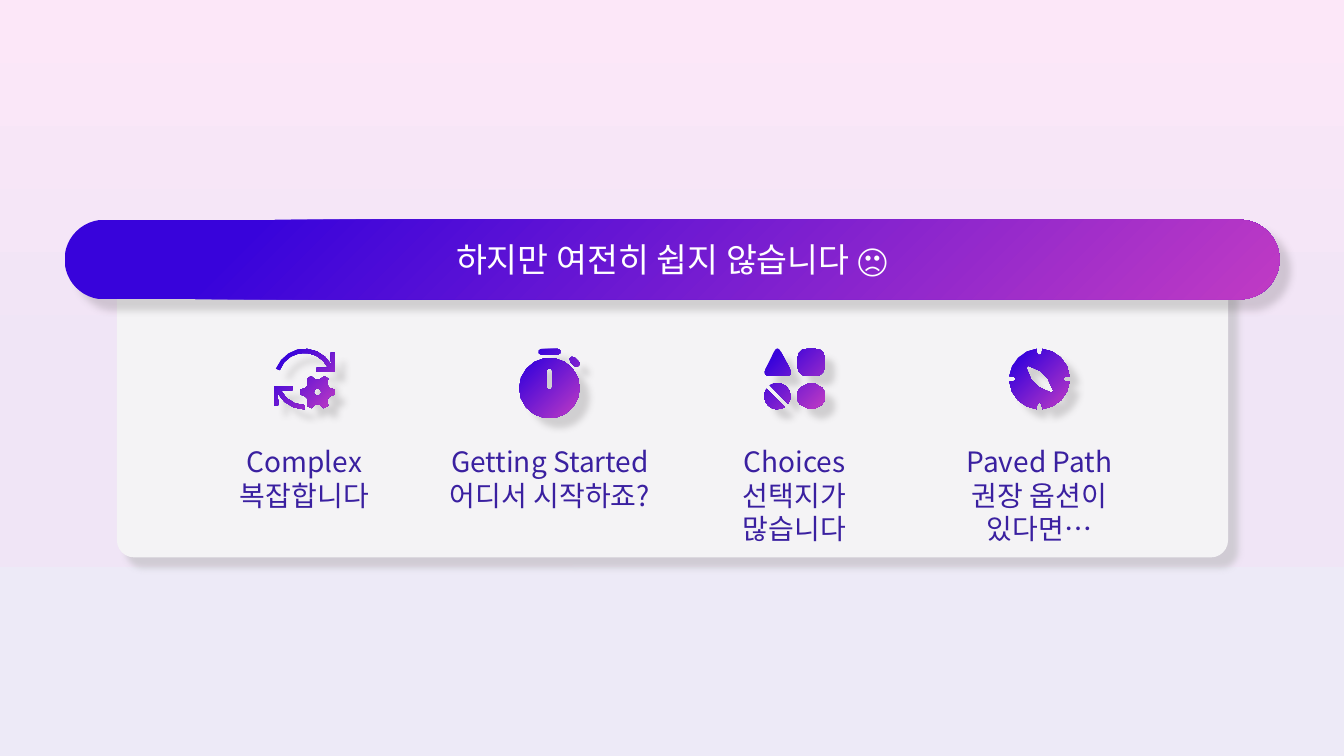
from dataclasses import dataclass
from math import cos, dist, radians, sin
from typing import NamedTuple

from lxml import etree
from pptx import Presentation
from pptx.dml.color import RGBColor
from pptx.enum.shapes import MSO_SHAPE as Shape
from pptx.enum.text import MSO_ANCHOR as Anchor, MSO_AUTO_SIZE as AutoSize, PP_ALIGN as Align
from pptx.oxml.ns import qn
from pptx.util import Inches, Pt

FONT = "Noto Sans CJK KR"
WHITE = RGBColor(0xFF, 0xFF, 0xFF)
PANEL = RGBColor(0xF4, 0xF3, 0xF5)
INDIGO = RGBColor(0x3A, 0x20, 0xA0)
BLUE = RGBColor(0x38, 0x03, 0xDB)
MAGENTA = RGBColor(0xC0, 0x3B, 0xC4)
SKY = RGBColor(0xFC, 0xE7, 0xF8)
HAZE = RGBColor(0xF0, 0xE5, 0xF6)
MIST = RGBColor(0xED, 0xEA, 0xF7)
PANEL_SHADOW = RGBColor(0xB1, 0xB3, 0xB3)
DARK_SHADOW = RGBColor(0x45, 0x41, 0x42)


class Point(NamedTuple):
    x: float
    y: float


Contour = list[Point]


@dataclass
class Challenge:
    title: str
    detail: str
    left: float
    width: float
    height: float
    icon: list[Contour]


def polar(c: Point, r: float, angle: float) -> Point:
    return Point(c.x + r * cos(radians(angle)), c.y + r * sin(radians(angle)))


def arc(c: Point, r: float, start: float, end: float) -> Contour:
    step = 20 if r > .1 else 60
    n = max(2, round(abs(end - start) / step))
    return [polar(c, r, start + (end - start) * i / n) for i in range(n + 1)]


def circle(c: Point, r: float) -> Contour:
    return arc(c, r, 0, 360)[:-1]


def capsule(x1: float, y1: float, x2: float, y2: float, r: float, angle: float) -> Contour:
    return (arc(Point(x1, y1), r, angle + 90, angle + 270)
            + arc(Point(x2, y2), r, angle - 90, angle + 90))


def toward(a: Point, b: Point, length: float) -> Point:
    t = length / dist(a, b)
    return Point(a.x + (b.x - a.x) * t, a.y + (b.y - a.y) * t)


def rounded(corners: list[tuple[float, float]], cut: float, steps: int) -> Contour:
    pts = [Point(*c) for c in corners]
    out: Contour = []
    for i, c in enumerate(pts):
        a = toward(c, pts[i - 1], cut)
        b = toward(c, pts[(i + 1) % len(pts)], cut)
        for t in (k / steps for k in range(steps + 1)):
            u = 1 - t
            out.append(Point(u * u * a.x + 2 * u * t * c.x + t * t * b.x,
                             u * u * a.y + 2 * u * t * c.y + t * t * b.y))
    return out


def cycle_arrow(c: Point, start: float, sign: int) -> Contour:
    zero = Point(0, 0)
    head = [(.26, -.26), (.3, -.26), (.3, -.07), (.12, -.07), (.12, -.11)]
    pts = (arc(zero, .3, start, 332) + [Point(*h) for h in head]
           + arc(zero, .26, 335, start))
    return [Point(c.x + sign * p.x, c.y + sign * p.y) for p in pts]


def complex_icon() -> list[Contour]:
    c, hub = Point(3.02, 3.76), Point(3.15, 3.89)
    tooth = [(-8, .17), (8, .17), (18, .13), (30, .12), (42, .13)]
    gear = [polar(hub, r, 60 * k + a) for k in range(6) for a, r in tooth]
    return [cycle_arrow(c, 200, 1), cycle_arrow(c, 270, -1), gear, circle(hub, .04)]


def timer_icon() -> list[Contour]:
    return [circle(Point(5.45, 3.85), .3),
            capsule(5.45, 3.68, 5.45, 3.84, .03, 90),
            capsule(5.68, 3.57, 5.72, 3.61, .03, 45),
            capsule(5.37, 3.49, 5.53, 3.49, .03, 0)]


def choices_icon() -> list[Contour]:
    disc = Point(7.71, 3.93)
    return [rounded([(7.91, 3.46), (8.18, 3.46), (8.18, 3.73), (7.91, 3.73)], .1, 3),
            rounded([(7.71, 3.42), (7.87, 3.73), (7.56, 3.73)], .08, 4),
            arc(disc, .13, -124, 34), arc(disc, .13, 56, 214),
            rounded([(8.05, 3.79), (8.18, 3.86), (8.18, 4), (8.05, 4.07),
                     (7.91, 4), (7.91, 3.86)], .03, 1)]


def compass_icon() -> list[Contour]:
    c = Point(10.31, 3.76)
    dial: Contour = []
    for turn in range(0, 360, 90):
        dial += arc(c, .3, turn + 5, turn + 85)
        dial += arc(polar(c, .26, turn + 90), .025, turn, turn - 180)
    needle = [(10.39, 3.75), (10.32, 3.68), (10.2, 3.63), (10.18, 3.65),
              (10.23, 3.77), (10.3, 3.84), (10.43, 3.9), (10.45, 3.88)]
    return [dial, [Point(*n) for n in needle]]


def gradient(stops: list[tuple[int, RGBColor]], **linear: str):
    fill = etree.Element(qn("a:gradFill"), rotWithShape="1")
    gs_list = etree.SubElement(fill, qn("a:gsLst"))
    for pos, color in stops:
        gs = etree.SubElement(gs_list, qn("a:gs"), pos=str(pos * 1000))
        etree.SubElement(gs, qn("a:srgbClr"), val=str(color))
    if linear:
        etree.SubElement(fill, qn("a:lin"), **linear)
    else:
        radial = etree.SubElement(fill, qn("a:path"), path="circle")
        etree.SubElement(radial, qn("a:fillToRect"), l="100000", t="100000")
    return fill


def add_shadow(sp, color: RGBColor, opacity: int) -> None:
    sp.shadow.inherit = False
    effects = sp._element.spPr.find(qn("a:effectLst"))
    shadow = etree.SubElement(effects, qn("a:outerShdw"), blurRad=str(Pt(5)), dist=str(Pt(10)),
                              dir="2700000", algn="tl", rotWithShape="0")
    clr = etree.SubElement(shadow, qn("a:srgbClr"), val=str(color))
    etree.SubElement(clr, qn("a:alpha"), val=str(opacity * 1000))


def style_vivid(sp) -> None:
    sp.fill.solid()
    sp.line.fill.background()
    add_shadow(sp, DARK_SHADOW, 20)
    spPr = sp._element.spPr
    spPr.replace(spPr.find(qn("a:solidFill")), gradient([(0, MAGENTA), (85, BLUE)]))


def write_line(p, text: str, size: int, color: RGBColor) -> None:
    p.text = text
    p.alignment = Align.CENTER
    p.font.size = Pt(size)
    p.font.name = FONT
    p.font.color.rgb = color


def add_round(s, left: float, top: float, width: float, height: float, radius: float):
    sp = s.shapes.add_shape(Shape.ROUNDED_RECTANGLE, *map(Inches, (left, top, width, height)))
    sp.adjustments[0] = radius
    return sp


def add_icon(s, contours: list[Contour]) -> None:
    paths = [[(Inches(p.x), Inches(p.y)) for p in c] for c in contours]
    builder = s.shapes.build_freeform(*paths[0][0])
    for i, pts in enumerate(paths):
        if i:
            builder.move_to(*pts[0])
        builder.add_line_segments(pts[1:], close=True)
    style_vivid(builder.convert_to_shape())


def add_label(s, item: Challenge) -> None:
    box = s.shapes.add_textbox(*map(Inches, (item.left, 4.36, item.width, item.height)))
    tf = box.text_frame
    tf.word_wrap = True
    tf.auto_size = AutoSize.SHAPE_TO_FIT_TEXT
    write_line(tf.paragraphs[0], item.title, 20, INDIGO)
    write_line(tf.add_paragraph(), item.detail, 20, INDIGO)


def main() -> None:
    prs = Presentation()
    prs.slide_width, prs.slide_height = Inches(13.33), Inches(7.5)
    s = prs.slides.add_slide(prs.slide_layouts[6])
    s.background.fill.solid()
    bg = s.element.find(".//" + qn("p:bgPr"))
    bg.replace(bg[0], gradient([(0, SKY), (50, HAZE), (100, MIST)], ang="5400000", scaled="0"))

    panel = add_round(s, 1.16, 2.6, 11.02, 2.93, .058)
    panel.fill.solid()
    panel.fill.fore_color.rgb = PANEL
    panel.line.fill.background()
    add_shadow(panel, PANEL_SHADOW, 50)

    challenges = [
        Challenge("Complex", "복잡합니다", 2.02, 2, .77, complex_icon()),
        Challenge("Getting Started", "어디서 시작하죠?", 4.25, 2.41, .77, timer_icon()),
        Challenge("Choices", "선택지가 많습니다", 6.88, 2, 1.11, choices_icon()),
        Challenge("Paved Path", "권장 옵션이 있다면…", 9.21, 2.2, 1.11, compass_icon()),
    ]
    for item in challenges:
        add_label(s, item)
    for item in challenges:
        add_icon(s, item.icon)

    banner = add_round(s, .64, 2.18, 12.05, .79, .5)
    style_vivid(banner)
    tf = banner.text_frame
    tf.margin_left = tf.margin_right = tf.margin_top = tf.margin_bottom = 0
    tf.vertical_anchor = Anchor.MIDDLE
    write_line(tf.paragraphs[0], "하지만 여전히 쉽지 않습니다 🙁", 24, WHITE)
    prs.save("out.pptx")


if __name__ == "__main__":
    main()
